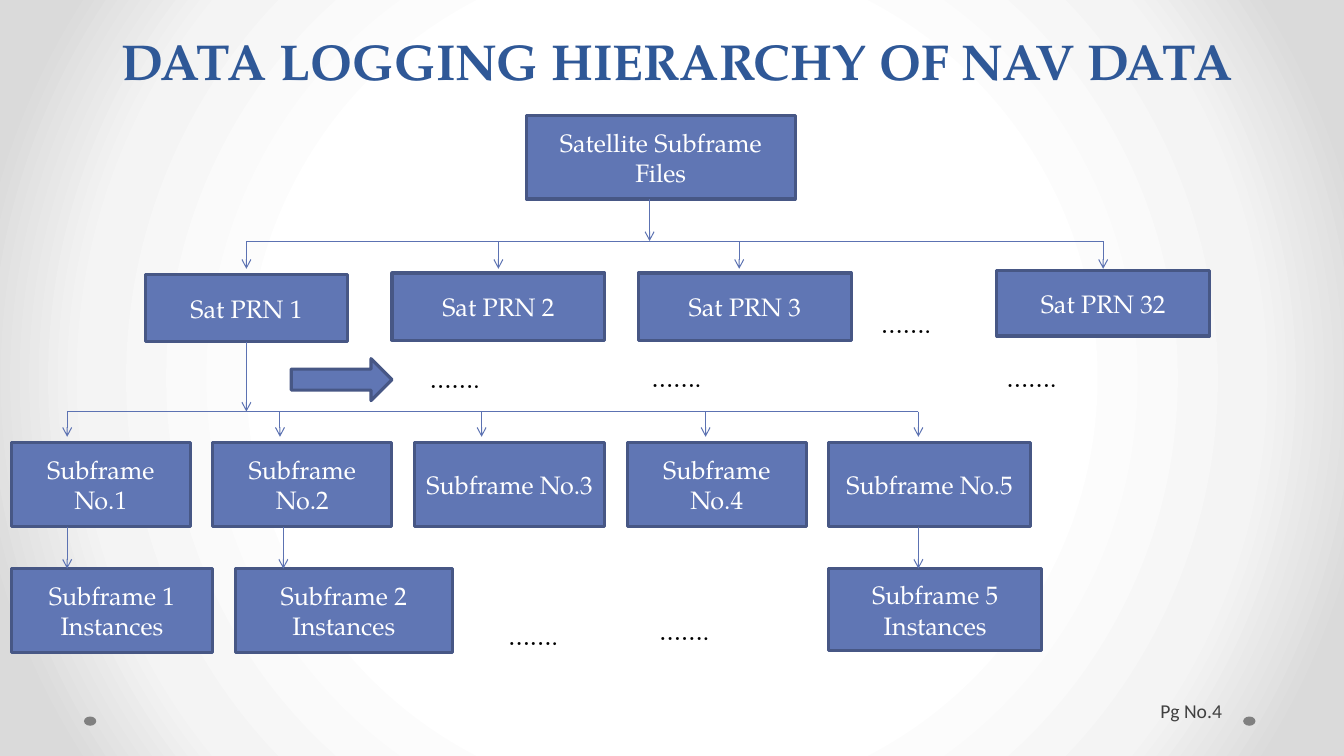
from typing import NamedTuple

from lxml.etree import SubElement
from pptx import Presentation
from pptx.dml.color import RGBColor
from pptx.enum.shapes import MSO_CONNECTOR as Connector, MSO_SHAPE as Shape
from pptx.enum.text import MSO_ANCHOR as Anchor, MSO_AUTO_SIZE as AutoSize, PP_ALIGN as Align
from pptx.oxml import parse_xml
from pptx.oxml.ns import nsdecls, qn
from pptx.util import Inches, Pt

SLIDE_WIDTH, SLIDE_HEIGHT = Inches(13.33), Inches(7.5)
COLUMN, ROW = SLIDE_WIDTH / 120, SLIDE_HEIGHT / 90

BOX_FILL = RGBColor(0x60, 0x76, 0xB4)
BOX_BORDER = RGBColor(0x47, 0x57, 0x85)
BRANCH = RGBColor(0x5C, 0x72, 0xB2)
TITLE = RGBColor(0x2F, 0x58, 0x97)
WHITE = RGBColor(0xFF, 0xFF, 0xFF)
BLACK = RGBColor(0x00, 0x00, 0x00)
PAGE_GREY = RGBColor(0x40, 0x40, 0x40)
DOT_GREY = RGBColor(0x80, 0x80, 0x80)
BACKDROP = ((50, "FFFFFF"), (76, "F4F4F4"), (92, "DADADA"))

SERIF, SANS = "TeX Gyre Pagella", "Calibri"


class Area(NamedTuple):
    """Left and width in columns, top and height in rows."""
    left: float
    top: float
    width: float
    height: float

    def lengths(self) -> tuple[int, ...]:
        units = (COLUMN, ROW, COLUMN, ROW)
        return tuple(round(share * unit) for share, unit in zip(self, units))


class Box(NamedTuple):
    label: str
    area: Area


class Drops(NamedTuple):
    """Downward arrows that share a top and a bottom row."""
    columns: tuple[float, ...]
    top: float
    bottom: float


class Style(NamedTuple):
    size: int
    color: RGBColor
    font: str = SERIF
    bold: bool = False
    align: Align = Align.LEFT


class Bus(NamedTuple):
    left: float
    right: float
    row: float


BOX_STYLE = Style(18, WHITE, align=Align.CENTER)
ELLIPSIS_STYLE = Style(18, BLACK)
TITLE_STYLE = Style(36, TITLE, bold=True, align=Align.CENTER)
PAGE_STYLE = Style(14, PAGE_GREY, SANS, align=Align.RIGHT)

SUBFRAME_SPANS = ((1, 16), (19, 16), (37, 17), (56, 16), (74, 18))
BOXES = [
    Box("Satellite Subframe Files", Area(47, 13.7, 24, 10)),
    Box("Sat PRN 1", Area(13, 32.7, 18, 8)),
    Box("Sat PRN 2", Area(35, 32.5, 19, 8)),
    Box("Sat PRN 3", Area(57, 32.5, 19, 8)),
    Box("Sat PRN 32", Area(89, 32.2, 19, 7.8)),
    *(Box(f"Subframe No.{number}", Area(left, 52.7, width, 10))
      for number, (left, width) in enumerate(SUBFRAME_SPANS, 1)),
    Box("Subframe 1\nInstances", Area(1, 67.7, 18, 10)),
    Box("Subframe 2 Instances", Area(21, 67.7, 19.4, 10)),
    Box("Subframe 5 Instances", Area(74, 67.7, 19, 9.8)),
]
BUSES = [Bus(22, 98.5, 28.7), Bus(6, 82, 49)]
DROPS = [
    Drops((58,), 23.7, 28.7),
    Drops((22, 44.5, 66, 98.5), 28.7, 32),
    Drops((22,), 40.7, 49),
    Drops((6, 25, 43, 63, 82), 49, 52),
    Drops((6, 25.3, 82), 62.7, 67.7),
]
ELLIPSES = [(77.8, 36.1), (37.5, 42.7), (57.3, 42.6), (89, 42.5), (44.5, 73.2), (58, 72.7)]
FOOTER_DOTS = (7.5, 111)


def paint_backdrop(slide) -> None:
    slide.background.fill.gradient()
    gradient = slide.element.find(".//" + qn("a:gradFill"))
    stops = "".join(f'<a:gs pos="{share * 1000}"><a:srgbClr val="{color}"/></a:gs>'
                    for share, color in BACKDROP)
    gradient.getparent().replace(gradient, parse_xml(
        f'<a:gradFill {nsdecls("a")} rotWithShape="1"><a:gsLst>{stops}</a:gsLst>'
        '<a:path path="circle"><a:fillToRect l="50000" t="50000" r="50000" b="50000"/>'
        '</a:path></a:gradFill>'))


def write(frame, text: str, style: Style) -> None:
    frame.word_wrap = True
    for index, line in enumerate(text.split("\n")):
        paragraph = frame.add_paragraph() if index else frame.paragraphs[0]
        paragraph.alignment = style.align
        run = paragraph.add_run()
        run.text = line
        run.font.name, run.font.size = style.font, Pt(style.size)
        run.font.bold, run.font.color.rgb = style.bold, style.color


def add_solid(slide, preset: Shape, area: Area, fill: RGBColor, border: RGBColor | None = None):
    solid = slide.shapes.add_shape(preset, *area.lengths())
    solid.shadow.inherit = False
    solid.fill.solid()
    solid.fill.fore_color.rgb = fill
    if border is None:
        solid.line.fill.background()
    else:
        solid.line.color.rgb, solid.line.width = border, Pt(2.25)
    return solid


def add_box(slide, box: Box) -> None:
    frame = add_solid(slide, Shape.RECTANGLE, box.area, BOX_FILL, BOX_BORDER).text_frame
    frame.vertical_anchor = Anchor.MIDDLE
    write(frame, box.label, BOX_STYLE)


def add_branch(slide, start: tuple[float, float], end: tuple[float, float],
               arrow: bool = False) -> None:
    ends = [round(share * unit) for point in (start, end)
            for share, unit in zip(point, (COLUMN, ROW))]
    branch = slide.shapes.add_connector(Connector.STRAIGHT, *ends)
    branch.line.color.rgb, branch.line.width = BRANCH, Pt(0.75)
    if arrow:
        SubElement(branch.line._get_or_add_ln(), qn("a:tailEnd"), type="arrow")
    SubElement(branch.element.spPr, qn("a:effectLst"))


def add_text(slide, text: str, area: Area, style: Style):
    frame = slide.shapes.add_textbox(*area.lengths()).text_frame
    write(frame, text, style)
    frame.auto_size = AutoSize.SHAPE_TO_FIT_TEXT
    return frame


def add_page_number(slide) -> None:
    frame = add_text(slide, "Pg No.4", Area(94.8, 82.2, 15.2, 4.8), PAGE_STYLE)
    frame.auto_size = AutoSize.NONE
    frame.vertical_anchor = Anchor.MIDDLE
    frame.margin_left = Inches(0.05)


def main() -> None:
    deck = Presentation()
    deck.slide_width, deck.slide_height = SLIDE_WIDTH, SLIDE_HEIGHT
    slide = deck.slides.add_slide(deck.slide_layouts[6])
    paint_backdrop(slide)
    for left in FOOTER_DOTS:
        add_solid(slide, Shape.OVAL, Area(left, 85.3, 1.1, 1.1), DOT_GREY)
    for box in BOXES:
        add_box(slide, box)
    for bus in BUSES:
        add_branch(slide, (bus.right, bus.row), (bus.left, bus.row))
    for drops in DROPS:
        for column in drops.columns:
            add_branch(slide, (column, drops.top), (column, drops.bottom), arrow=True)
    add_solid(slide, Shape.RIGHT_ARROW, Area(26, 42.7, 9, 5), BOX_FILL, BOX_BORDER)
    for left, top in ELLIPSES:
        add_text(slide, "…….", Area(left, top, 16, 4.8), ELLIPSIS_STYLE)
    add_page_number(slide)
    add_text(slide, "DATA LOGGING HIERARCHY OF NAV DATA", Area(1.7, 3, 117.5, 8.5), TITLE_STYLE)
    deck.save("out.pptx")


if __name__ == "__main__":
    main()
